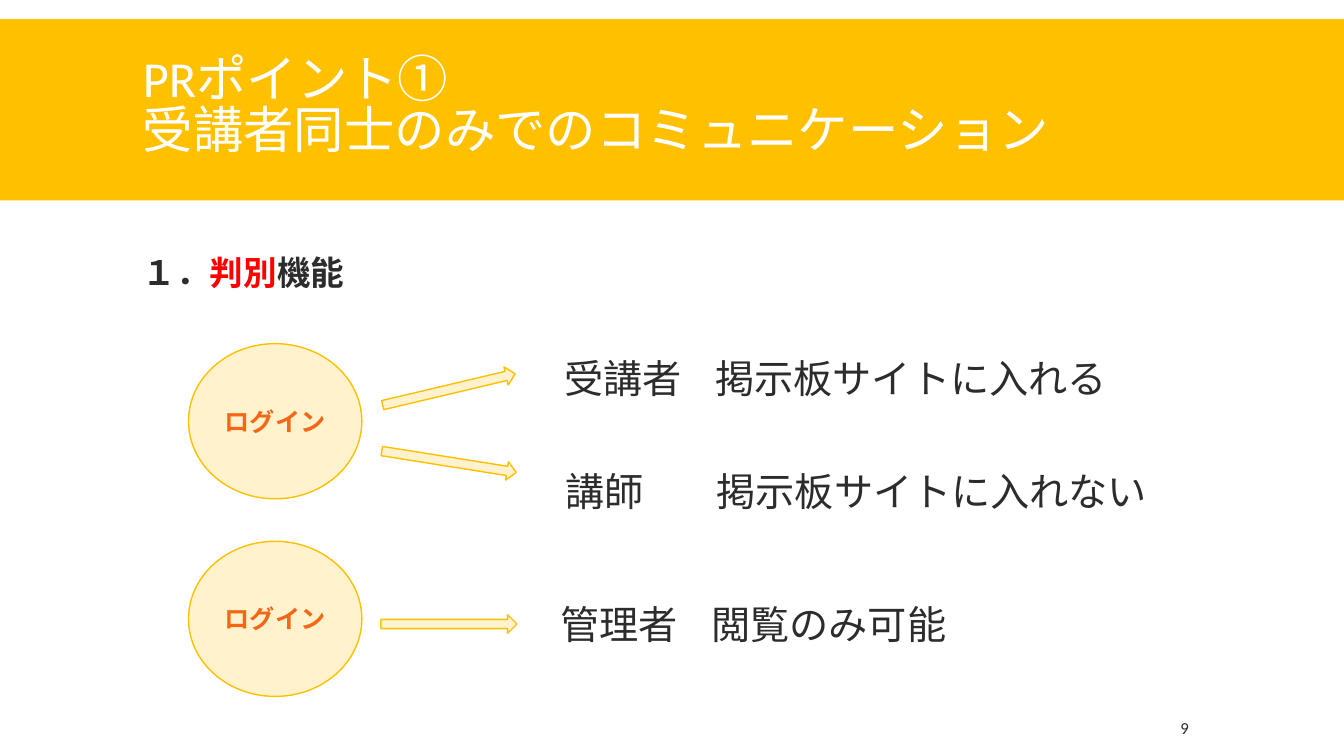
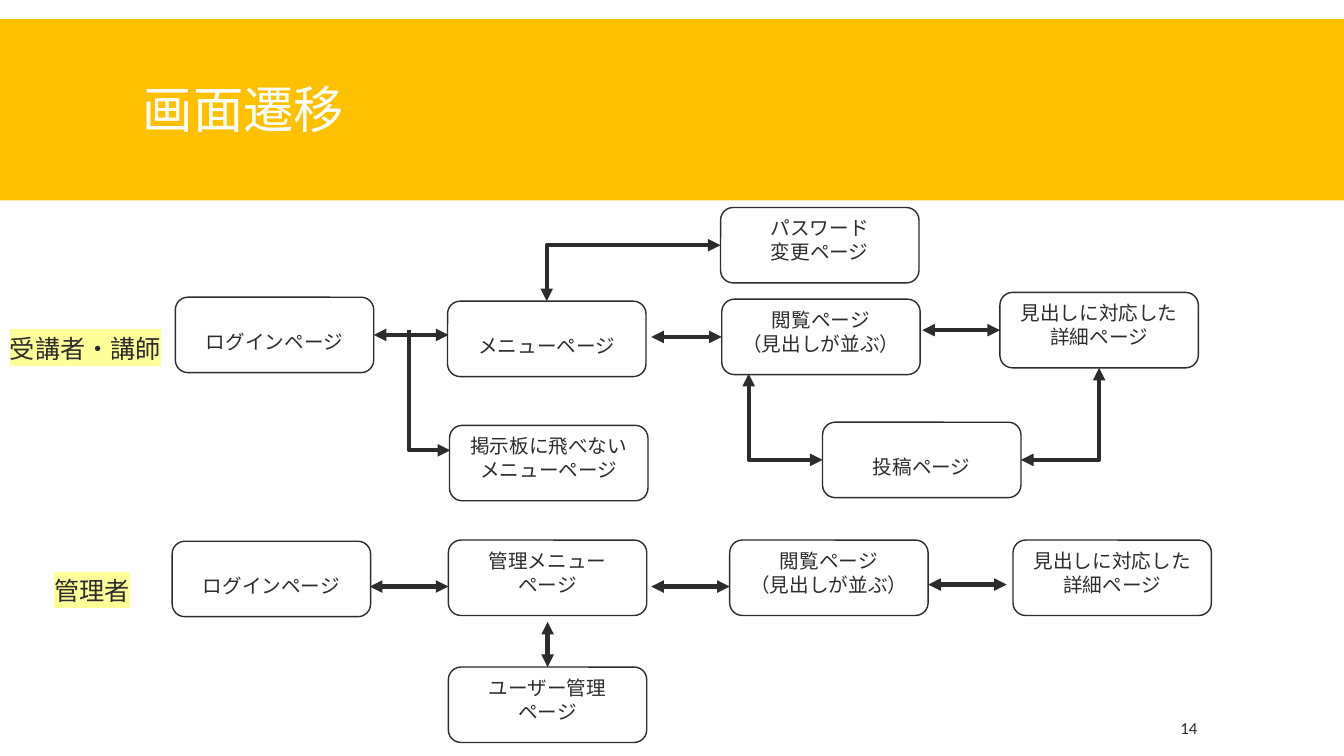
from lxml.etree import SubElement
from pptx import Presentation
from pptx.dml.color import RGBColor
from pptx.enum.shapes import MSO_CONNECTOR, MSO_SHAPE
from pptx.enum.text import MSO_ANCHOR, PP_ALIGN
from pptx.oxml.ns import qn
from pptx.util import Cm, Pt

# Shared look
GOLD = RGBColor(0xFF, 0xC0, 0x00)
CREAM = RGBColor(0xFF, 0xF2, 0xCC)
ORANGE = RGBColor(0xF5, 0x66, 0x17)
RED = RGBColor(0xFF, 0x00, 0x00)
INK = RGBColor(0x2C, 0x2C, 0x2C)
WHITE = RGBColor(0xFF, 0xFF, 0xFF)
MARKER = "FFFF99"
LATIN, JAPANESE = "Calibri", "Noto Sans CJK JP"
WIDTH, HEIGHT = 33.87, 19.05

# Slide 1 content: lengths in cm
LOGIN_TITLE = "PRポイント①\v受講者同士のみでのコミュニケーション"
LOGIN_HEADING = [("１．", INK), ("判別", RED), ("機能", INK)]
CIRCLE_TEXT = "ログイン"
CIRCLE_LEFT, CIRCLE_TOPS, CIRCLE_SIZE = 4.75, (8.66, 13.64), (4.37, 3.91)
ARROW_LEFT, ARROW_SIZE = 9.6, (3.43, 0.47)
ARROWS = [(9.58, -13.3), (11.4, 9), (15.49, 0)]  # top, rotation
OUTCOMES = [
    ("受講者\t掲示板サイトに入れる", 13.97, 8.81),
    ("講師\t掲示板サイトに入れない", 14.0, 11.66),
    ("管理者\t閲覧のみ可能", 13.87, 15.01),
]
OUTCOME_TAB = 3.81

# Slide 2 content
FLOW_TITLE = "画面遷移"
ROLES = [("受講者・講師", 0, 8.28, 4.6), ("管理者", 1.12, 14.38, 2.77)]
PAGE_SIZE = (5, 1.9)
PAGES = {  # key: (text, left, top)
    "login": ("ログインページ", 4.42, 7.49),
    "menu": ("メニューページ", 11.28, 7.59),
    "blocked menu": ("掲示板に飛べないメニューページ", 11.33, 10.72),
    "password": ("パスワード\n変更ページ", 18.16, 5.23),
    "browse": ("閲覧ページ\n（見出しが並ぶ）", 18.19, 7.54),
    "detail": ("見出しに対応した\n詳細ページ", 25.2, 7.37),
    "post": ("投稿ページ", 20.73, 10.64),
    "admin login": ("ログインページ", 4.34, 13.64),
    "admin menu": ("管理メニュー\nページ", 11.3, 13.61),
    "admin browse": ("閲覧ページ\n（見出しが並ぶ）", 18.39, 13.61),
    "admin detail": ("見出しに対応した\n詳細ページ", 25.53, 13.61),
    "users": ("ユーザー管理\nページ", 11.3, 16.81),
}
LINE_CHARS = 8  # characters that fit on one line of a page box
TOP, LEFT, BOTTOM, RIGHT = range(4)
# An end is a point or (page, side)
STRAIGHT_LINKS = [
    (("login", RIGHT), (11.3, 8.44)),
    ((16.41, 8.49), ("browse", LEFT)),
    ((23.24, 8.32), ("detail", LEFT)),
    ((9.32, 14.78), (11.3, 14.78)),
    ((16.41, 14.78), (18.39, 14.78)),
    ((23.39, 14.73), (25.37, 14.73)),
    ((13.8, 15.67), ("users", TOP)),
]
BENT_LINKS = [  # start sideways, then turn up or down
    (("password", LEFT), ("menu", TOP)),
    (("post", LEFT), (18.87, 9.42)),
    (("post", RIGHT), ("detail", BOTTOM)),
]
BRANCH = ((11.35, 11.35), (10.31, 8.33))
BOTH_ENDS = ("headEnd", "tailEnd")


def write(frame, runs, size, font=JAPANESE, bold=False, align=None,
          spacing=None, tab=None, marker=None, **frame_format):
    """Fill a frame with (text, colour) runs; a newline starts a paragraph."""
    settings = {"word_wrap": True, "vertical_anchor": MSO_ANCHOR.TOP, **frame_format}
    for name, value in settings.items():
        setattr(frame, name, value)
    paragraph = frame.paragraphs[0]
    for text, color in runs:
        for number, line in enumerate(text.split("\n")):
            if number:
                paragraph = frame.add_paragraph()
            paragraph.alignment, paragraph.line_spacing = align, spacing
            if tab:
                tabs = SubElement(paragraph._p.get_or_add_pPr(), qn("a:tabLst"))
                SubElement(tabs, qn("a:tab"), pos=str(Cm(tab)), algn="l")
            for part_number, part in enumerate(line.split("\v")):
                if part_number:
                    paragraph.add_line_break()
                run = paragraph.add_run()
                run.text = part
                for name, value in {"name": font, "size": Pt(size), "bold": bold}.items():
                    setattr(run.font, name, value)
                run.font.color.rgb = color
                latin = run._r.rPr.find(qn("a:latin"))
                east_asian = SubElement(run._r.rPr, qn("a:ea"), typeface=JAPANESE)
                latin.addnext(east_asian)
                if marker:
                    highlight = SubElement(run._r.rPr, qn("a:highlight"))
                    SubElement(highlight, qn("a:srgbClr"), val=marker)
                    latin.addprevious(highlight)


def add_text(slide, place, runs, size, **format_values):
    box = slide.shapes.add_textbox(*map(Cm, place))
    write(box.text_frame, runs, size, **format_values)


def add_figure(slide, kind, place, fill, line=None):
    figure = slide.shapes.add_shape(kind, *map(Cm, place))
    figure.shadow.inherit = False
    figure.fill.solid()
    figure.fill.fore_color.rgb = fill
    if line is None:
        figure.line.fill.background()
    else:
        figure.line.color.rgb, figure.line.width = line, Pt(1)
    return figure


def add_base(deck, title, title_top, number):
    """Slide with the gold band, its title and the page number."""
    slide = deck.slides.add_slide(deck.slide_layouts[6])
    add_figure(slide, MSO_SHAPE.RECTANGLE, (0, 0.48, WIDTH, 4.57), GOLD)
    add_text(slide, (3.35, title_top, 27.18, 4.19), [(title, WHITE)], 36,
             font=LATIN, spacing=0.85, vertical_anchor=MSO_ANCHOR.MIDDLE)
    add_text(slide, (29.62, 17.83, 2.62, 1.02), [(number, INK)], 12, font=LATIN,
             vertical_anchor=MSO_ANCHOR.MIDDLE, margin_left=Cm(0.13))
    return slide


def add_link(slide, pages, start, end, bent=False, heads=BOTH_ENDS):
    ends = []
    for first, second in (start, end):
        if first in pages:
            _, left, top = PAGES[first]
            width, height = PAGE_SIZE
            shift = {TOP: (width / 2, 0), LEFT: (0, height / 2),
                     BOTTOM: (width / 2, height), RIGHT: (width, height / 2)}[second]
            ends += [left + shift[0], top + shift[1]]
        else:
            ends += [first, second]
    kind = MSO_CONNECTOR.ELBOW if bent else MSO_CONNECTOR.STRAIGHT
    link = slide.shapes.add_connector(kind, *map(Cm, ends))
    for join, (page, side) in ((link.begin_connect, start), (link.end_connect, end)):
        if page in pages:
            join(pages[page], side)
    link.line.color.rgb, link.line.width = INK, Pt(3)
    properties = link._element.spPr
    if bent:  # a single corner
        properties.find(qn("a:prstGeom")).set("prst", "bentConnector2")
    for head in heads:
        SubElement(properties.find(qn("a:ln")), qn("a:" + head), type="triangle")
    SubElement(properties, qn("a:effectLst"))


def build_login_slide(deck):
    slide = add_base(deck, LOGIN_TITLE, 0.62, "9")
    add_text(slide, (3.35, 6.35, 26.82, 1.5), LOGIN_HEADING, 24,
             font=LATIN, bold=True, spacing=0.9)
    # Login circles
    for top in CIRCLE_TOPS:
        circle = add_figure(slide, MSO_SHAPE.OVAL, (CIRCLE_LEFT, top, *CIRCLE_SIZE), CREAM, GOLD)
        write(circle.text_frame, [(CIRCLE_TEXT, ORANGE)], 18, bold=True,
              align=PP_ALIGN.CENTER, vertical_anchor=MSO_ANCHOR.MIDDLE,
              margin_left=0, margin_right=0)
    # Arrows to the outcomes
    for top, rotation in ARROWS:
        arrow = add_figure(slide, MSO_SHAPE.RIGHT_ARROW, (ARROW_LEFT, top, *ARROW_SIZE), CREAM, GOLD)
        arrow.rotation = rotation
    for text, left, top in OUTCOMES:
        add_text(slide, (left, top, 16.2, 1.45), [(text, INK)], 28, tab=OUTCOME_TAB)


def build_flow_slide(deck):
    slide = add_base(deck, FLOW_TITLE, 0.76, "14")
    for text, left, top, width in ROLES:
        add_text(slide, (left, top, width, 1.02), [(text, INK)], 18, marker=MARKER)
    # Page boxes: a single line sits on the second line's level
    pages = {}
    for key, (text, left, top) in PAGES.items():
        pages[key] = add_figure(slide, MSO_SHAPE.ROUNDED_RECTANGLE,
                                (left, top, *PAGE_SIZE), WHITE, INK)
        write(pages[key].text_frame, [(text, INK)], 14, font=LATIN, align=PP_ALIGN.CENTER,
              margin_top=Cm(0.74 if len(text) <= LINE_CHARS else 0.13))
    # Transitions
    for start, end in STRAIGHT_LINKS:
        add_link(slide, pages, start, end)
    for start, end in BENT_LINKS:
        add_link(slide, pages, start, end, bent=True)
    add_link(slide, pages, *BRANCH, bent=True, heads=("headEnd",))


def main():
    deck = Presentation()
    deck.slide_width, deck.slide_height = Cm(WIDTH), Cm(HEIGHT)
    build_login_slide(deck)
    build_flow_slide(deck)
    deck.save("out.pptx")


if __name__ == "__main__":
    main()
